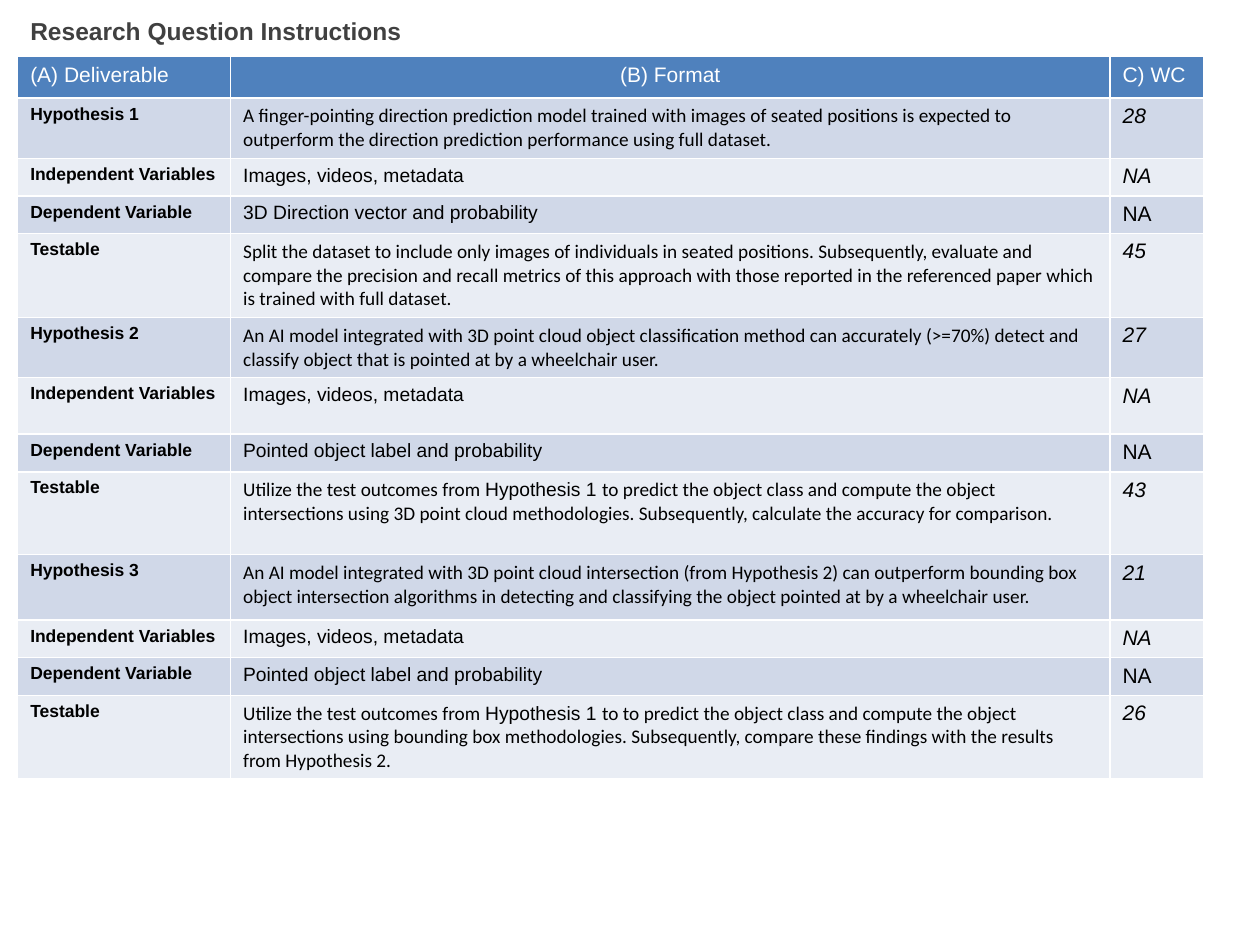
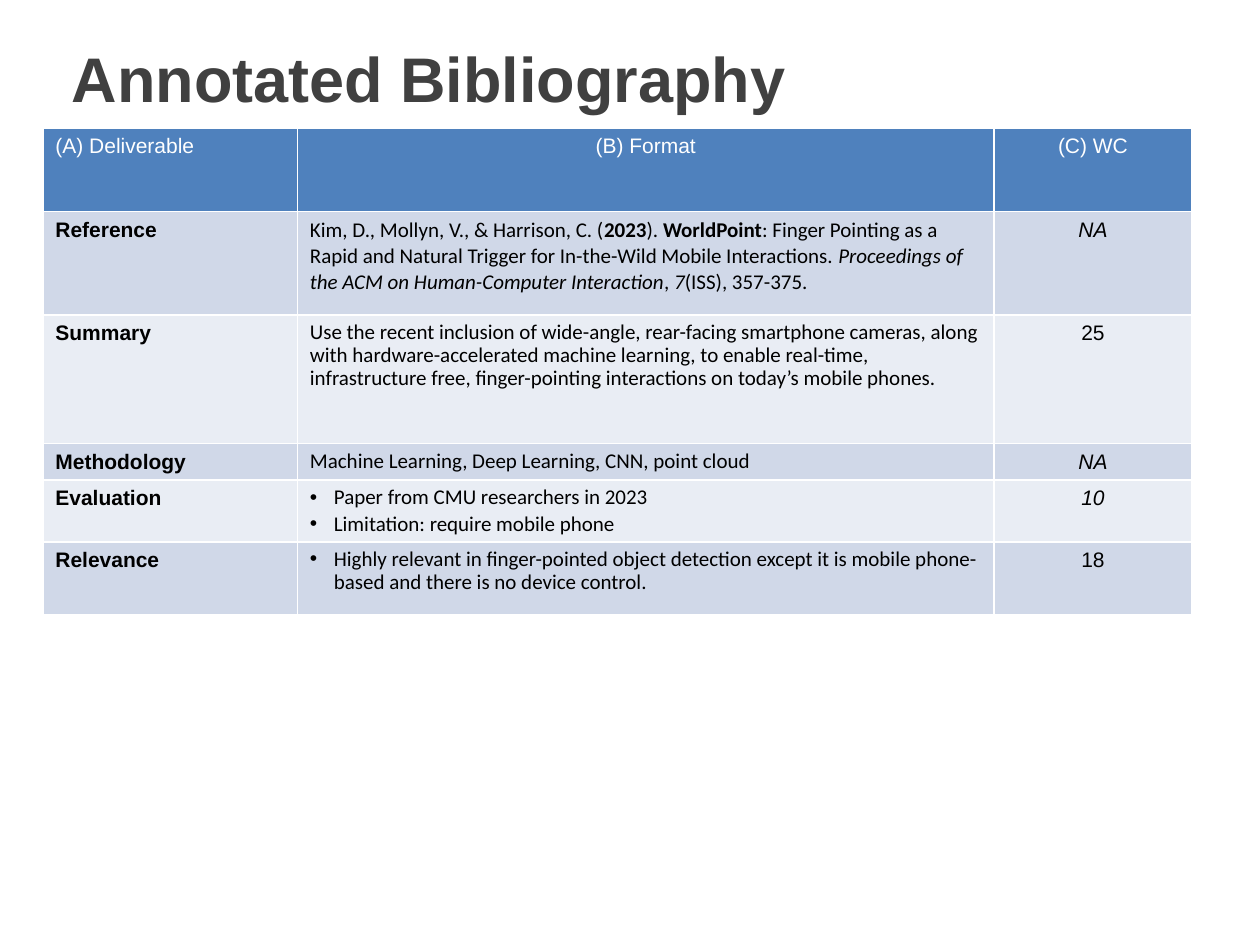
from dataclasses import dataclass

from lxml.etree import SubElement
from pptx import Presentation
from pptx.dml.color import RGBColor
from pptx.enum.text import MSO_ANCHOR, MSO_AUTO_SIZE, PP_ALIGN
from pptx.oxml.ns import qn
from pptx.util import Inches, Pt

SLIDE_WIDTH, SLIDE_HEIGHT = Inches(10), Inches(7.5)
TITLE_ONLY = 5

WHITE = RGBColor(0xFF, 0xFF, 0xFF)
BLACK = RGBColor(0x00, 0x00, 0x00)
TITLE_GREY = RGBColor(0x40, 0x40, 0x40)
HEADER_BLUE = RGBColor(0x4F, 0x81, 0xBD)
BANDS = RGBColor(0xD0, 0xD8, 0xE8), RGBColor(0xE9, 0xED, 0xF4)

HEADING_FONT, BODY_FONT = "Arial", "Calibri"
BULLET_INDENT = Inches(0.19)


@dataclass
class Box:
    """A region in shares of the slide's width and height."""
    left: float
    top: float
    width: float
    height: float

    def lengths(self):
        return (round(self.left * SLIDE_WIDTH), round(self.top * SLIDE_HEIGHT),
                round(self.width * SLIDE_WIDTH), round(self.height * SLIDE_HEIGHT))


@dataclass
class Piece:
    text: str
    font: str = BODY_FONT
    bold: bool = False
    italic: bool = False


@dataclass
class Cell:
    """Each paragraph is a list of pieces."""
    paragraphs: list
    size: float = 12
    alignment: PP_ALIGN = PP_ALIGN.LEFT
    color: RGBColor = BLACK
    tight: bool = False
    bulleted: bool = False


def plain_cell(text, font=HEADING_FONT, bold=False, italic=False, **options):
    return Cell([[Piece(text, font, bold, italic)]], **options)


def header_row(labels, alignments):
    return [plain_cell(label, color=WHITE, alignment=alignment)
            for label, alignment in zip(labels, alignments)]


def add_title(slide, text, box, size, anchor):
    title = slide.shapes.title
    title.left, title.top, title.width, title.height = box.lengths()
    frame = title.text_frame
    frame.text = text
    frame.word_wrap = True
    frame.auto_size = MSO_AUTO_SIZE.NONE
    frame.vertical_anchor = anchor
    paragraph = frame.paragraphs[0]
    paragraph.alignment = PP_ALIGN.LEFT
    font = paragraph.runs[0].font
    font.name, font.size, font.bold = HEADING_FONT, Pt(size), True
    font.color.rgb = TITLE_GREY


def add_borders(table_cell):
    properties = table_cell._tc.get_or_add_tcPr()
    for side in ("lnL", "lnR", "lnT", "lnB"):
        line = SubElement(properties, qn(f"a:{side}"), w=str(Pt(1)))
        fill = SubElement(line, qn("a:solidFill"))
        SubElement(fill, qn("a:srgbClr"), val=str(WHITE))


def add_bullet(paragraph):
    properties = paragraph._p.get_or_add_pPr()
    properties.set("marL", str(BULLET_INDENT))
    properties.set("indent", str(-BULLET_INDENT))
    SubElement(properties, qn("a:buFont"), typeface="Arial")
    SubElement(properties, qn("a:buChar"), char="•")


def fill_cell(table_cell, cell, color):
    add_borders(table_cell)
    table_cell.fill.solid()
    table_cell.fill.fore_color.rgb = color
    frame = table_cell.text_frame
    for index, pieces in enumerate(cell.paragraphs):
        paragraph = frame.add_paragraph() if index else frame.paragraphs[0]
        if cell.bulleted:
            add_bullet(paragraph)
        paragraph.alignment = cell.alignment
        if cell.tight:
            paragraph.line_spacing = 0.9
            paragraph.space_after = Pt(0.15 * cell.size)
        for piece in pieces:
            run = paragraph.add_run()
            run.text = piece.text
            font = run.font
            font.name, font.size = piece.font, Pt(cell.size)
            font.bold, font.italic = piece.bold, piece.italic
            font.color.rgb = cell.color


def add_banded_table(slide, box, column_weights, row_weights, rows):
    """Share the box among columns and rows by weight; the first row is the header."""
    left, top, width, height = box.lengths()
    table = slide.shapes.add_table(len(rows), len(column_weights),
                                   left, top, width, height).table
    table.horz_banding = False
    for column, weight in zip(table.columns, column_weights):
        column.width = round(width * weight / sum(column_weights))
    for row, weight in zip(table.rows, row_weights):
        row.height = round(height * weight / sum(row_weights))
    for row_index, cells in enumerate(rows):
        color = BANDS[(row_index - 1) % 2] if row_index else HEADER_BLUE
        for column_index, cell in enumerate(cells):
            fill_cell(table.cell(row_index, column_index), cell, color)


def hypothesis_rows(number, hypothesis, hypothesis_count, dependent, test, test_count):
    def label(text):
        return plain_cell(text, bold=True, size=10)

    return [
        [label(f"Hypothesis {number}"), plain_cell(hypothesis, BODY_FONT, size=11),
         plain_cell(hypothesis_count, italic=True)],
        [label("Independent Variables"), plain_cell("Images, videos, metadata", size=11),
         plain_cell("NA", italic=True)],
        [label("Dependent Variable"), plain_cell(dependent, size=11), plain_cell("NA")],
        [label("Testable"), Cell([test], size=11), plain_cell(test_count, italic=True)],
    ]


def outcome_test(continuation):
    return [Piece("Utilize the test outcomes from "), Piece("Hypothesis 1 ", HEADING_FONT),
            Piece(continuation)]


def build_research_question(presentation):
    slide = presentation.slides.add_slide(presentation.slide_layouts[TITLE_ONLY])
    rows = [
        header_row(("(A) Deliverable", "(B) Format", "C) WC"),
                   (PP_ALIGN.LEFT, PP_ALIGN.CENTER, PP_ALIGN.LEFT)),
        *hypothesis_rows(
            1, "A finger-pointing direction prediction model trained with images of seated "
            "positions is expected to outperform the direction prediction performance using "
            "full dataset.", "28",
            "3D Direction vector and probability",
            [Piece("Split the dataset to include only images of individuals in seated "
                   "positions. Subsequently, evaluate and compare the precision and recall "
                   "metrics of this approach with those reported in the referenced paper "
                   "which is trained with full dataset.")], "45"),
        *hypothesis_rows(
            2, "An AI model integrated with 3D point cloud object classification method can "
            "accurately (>=70%) detect and classify object that is pointed at by a "
            "wheelchair user.", "27",
            "Pointed object label and probability",
            outcome_test("to predict the object class and compute the object intersections "
                         "using 3D point cloud methodologies. Subsequently, calculate the "
                         "accuracy for comparison."), "43"),
        *hypothesis_rows(
            3, "An AI model integrated with 3D point cloud intersection (from Hypothesis 2) "
            "can outperform bounding box object intersection algorithms in detecting and "
            "classifying the object pointed at by a wheelchair user.", "21",
            "Pointed object label and probability",
            outcome_test("to to predict the object class and compute the object "
                         "intersections using bounding box methodologies. Subsequently, "
                         "compare these findings with the results from Hypothesis 2."), "26"),
    ]
    add_banded_table(slide, Box(0.014, 0.06, 0.941, 0.76), (169, 698, 74),
                     (33, 47, 30, 30, 66, 47, 45, 30, 66, 52, 30, 30, 66), rows)
    add_title(slide, "Research Question Instructions", Box(0.014, 0.01, 0.838, 0.036),
              14, MSO_ANCHOR.TOP)


def build_bibliography(presentation):
    slide = presentation.slides.add_slide(presentation.slide_layouts[TITLE_ONLY])
    reference = Cell([[
        Piece("Kim, D., Mollyn, V., & Harrison, C. ("),
        Piece("2023", bold=True),
        Piece("). "),
        Piece("WorldPoint", bold=True),
        Piece(": Finger Pointing as a Rapid and Natural Trigger for In-the-Wild Mobile "
              "Interactions. "),
        Piece("Proceedings of the ACM on Human-Computer Interaction", italic=True),
        Piece(", "),
        Piece("7", italic=True),
        Piece("(ISS), 357-375."),
    ]])
    summary = plain_cell(
        "Use the recent inclusion of wide-angle, rear-facing smartphone cameras, along with "
        "hardware-accelerated machine learning, to enable real-time, infrastructure free, "
        "finger-pointing interactions on today’s mobile phones.", BODY_FONT, tight=True)
    methodology = plain_cell("Machine Learning, Deep Learning, CNN, point cloud",
                             BODY_FONT, tight=True)
    evaluation = Cell([[Piece("Paper from CMU researchers in 2023")],
                       [Piece("Limitation: require mobile phone")]],
                      tight=True, bulleted=True)
    relevance = plain_cell(
        "Highly relevant in finger-pointed object detection except it is mobile phone-based "
        "and there is no device control.", BODY_FONT, tight=True, bulleted=True)
    entries = [
        ("Reference", reference, "NA", True),
        ("Summary", summary, "25", False),
        ("Methodology", methodology, "NA", True),
        ("Evaluation", evaluation, "10", True),
        ("Relevance", relevance, "18", False),
    ]
    rows = [header_row(("(A) Deliverable", "(B) Format", "(C) WC"),
                       (PP_ALIGN.LEFT, PP_ALIGN.CENTER, PP_ALIGN.CENTER))]
    rows += [[plain_cell(label, bold=True), content,
              plain_cell(count, italic=italic, alignment=PP_ALIGN.CENTER)]
             for label, content, count, italic in entries]
    add_banded_table(slide, Box(0.034, 0.136, 0.912, 0.515), (202, 553, 157),
                     (66, 82, 102, 29, 49, 58), rows)
    add_title(slide, "Annotated Bibliography", Box(0.047, 0.028, 0.848, 0.108),
              36, MSO_ANCHOR.MIDDLE)


def main():
    presentation = Presentation()
    presentation.slide_width, presentation.slide_height = SLIDE_WIDTH, SLIDE_HEIGHT
    build_research_question(presentation)
    build_bibliography(presentation)
    presentation.save("out.pptx")


if __name__ == "__main__":
    main()
